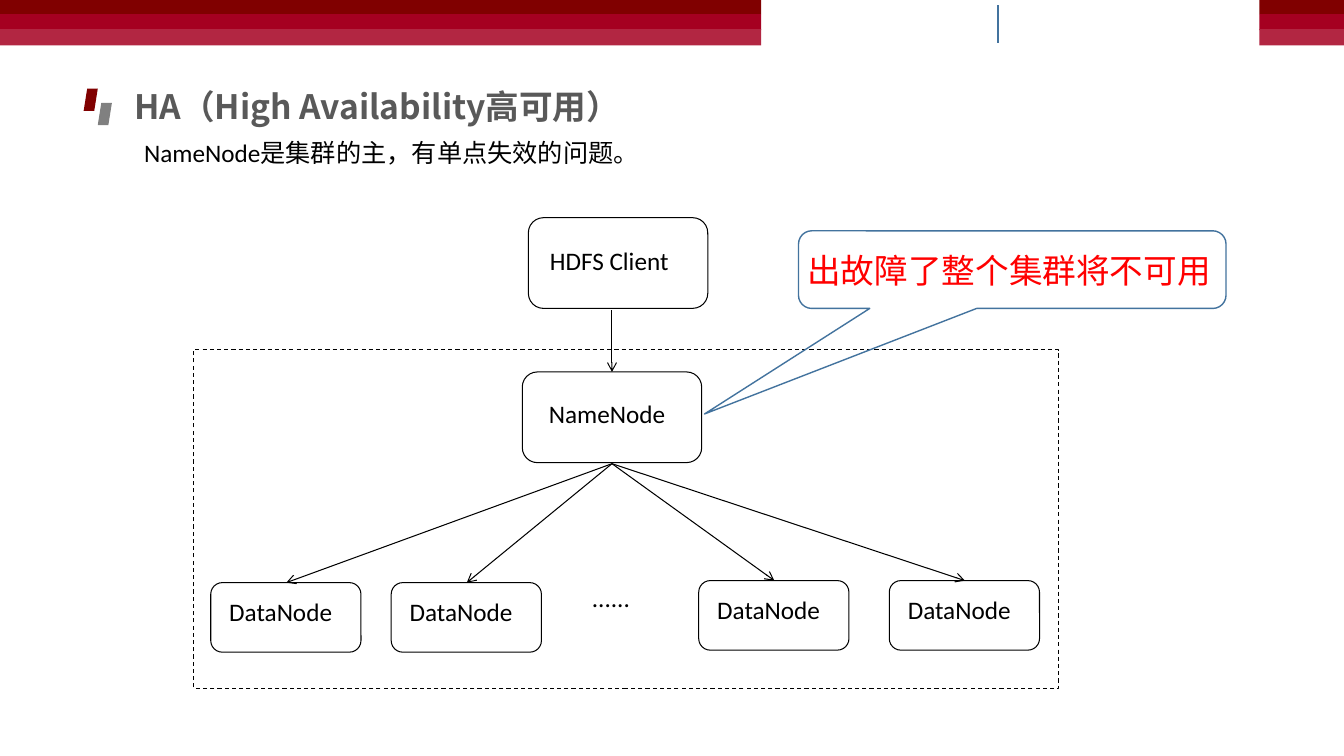
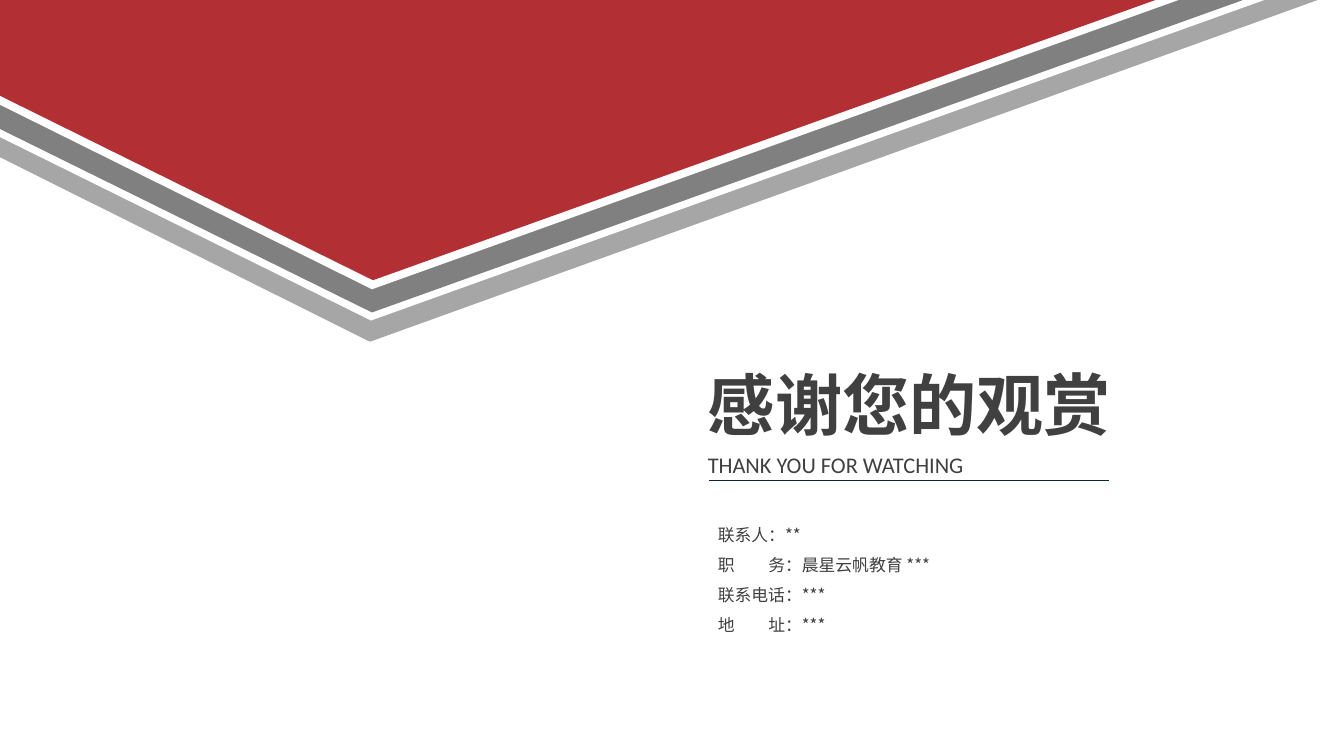
from dataclasses import dataclass

from lxml.etree import SubElement
from pptx import Presentation
from pptx.dml.color import RGBColor
from pptx.enum.dml import MSO_LINE
from pptx.enum.shapes import MSO_CONNECTOR, MSO_SHAPE
from pptx.enum.text import MSO_ANCHOR, MSO_AUTO_SIZE, PP_ALIGN
from pptx.oxml.ns import qn
from pptx.util import Emu, Pt

SCALE = 9144  # EMU in one px, 100 px to the inch
WIDE, HIGH = 1333, 750


@dataclass(frozen=True)
class Theme:
    sans: str = "Calibri"
    han: str = "Noto Sans CJK SC"
    black: str = "000000"
    white: str = "FFFFFF"
    bands: tuple = ("800000", "A50021", "B22642")
    head: str = "595959"
    text: str = "404040"
    grey: str = "808080"
    pale: str = "A6A6A6"
    crest: str = "B22F33"
    blue: str = "43739E"
    navy: str = "10243F"
    alert: str = "FF0000"
    huge: int = 48
    large: int = 24
    base: int = 18
    sub: int = 16
    small: int = 12


T = Theme()


def px(size):
    return Emu(size * SCALE)


def rgb(code):
    return RGBColor.from_string(code)


def put(frame, *lines, size=T.base, color=T.black, font=T.sans, bold=False,
        align=PP_ALIGN.LEFT, anchor=MSO_ANCHOR.MIDDLE, inset=(10, 5, 10, 5),
        lead=None, tab=None):
    """Fill a text frame; inset is left, top, right, bottom in px."""
    frame.word_wrap = True
    frame.auto_size = MSO_AUTO_SIZE.NONE
    frame.vertical_anchor = anchor
    (frame.margin_left, frame.margin_top,
     frame.margin_right, frame.margin_bottom) = map(px, inset)
    for i, line in enumerate(lines):
        para = frame.add_paragraph() if i else frame.paragraphs[0]
        para.alignment = align
        para.space_before = Pt(0)
        if lead:
            para.line_spacing = Pt(lead)
        props = para._p.get_or_add_pPr()
        props.set("marL", "0")
        props.set("indent", "0")
        SubElement(props, qn("a:buNone"))
        if tab:
            stops = SubElement(props, qn("a:tabLst"))
            SubElement(stops, qn("a:tab"), pos=str(px(tab)), algn="l")
        run = para.add_run()
        run.text = line
        run.font.size = Pt(size)
        run.font.bold = bold
        run.font.name = font
        run.font.color.rgb = rgb(color)
        SubElement(run._r.get_or_add_rPr(), qn("a:ea"), typeface=T.han)


def place(holder, box, *lines, **style):
    holder.left, holder.top, holder.width, holder.height = map(px, box)
    put(holder.text_frame, *lines, **style)


def label(slide, box, *lines, **style):
    put(slide.shapes.add_textbox(*map(px, box)).text_frame, *lines, **style)


def paint(shape, fill=None, line=None, width=0.75):
    shape.shadow.inherit = False
    if fill:
        shape.fill.solid()
        shape.fill.fore_color.rgb = rgb(fill)
    else:
        shape.fill.background()
    if line:
        shape.line.color.rgb = rgb(line)
        shape.line.width = Pt(width)
    else:
        shape.line.fill.background()
    return shape


def draw(slide, kind, box, **style):
    return paint(slide.shapes.add_shape(kind, *map(px, box)), **style)


def link(slide, start, end, color=T.black, width=0.75, arrow=False):
    line = slide.shapes.add_connector(
        MSO_CONNECTOR.STRAIGHT, *map(px, (*start, *end)))
    line.line.color.rgb = rgb(color)
    line.line.width = Pt(width)
    if arrow:
        SubElement(line.line._get_or_add_ln(), qn("a:tailEnd"), type="arrow")
    SubElement(line._element.spPr, qn("a:effectLst"))


def node(slide, box, name, left, top):
    """Rounded box with its name at left, top inside it."""
    shape = draw(slide, MSO_SHAPE.ROUNDED_RECTANGLE, box,
                 fill=T.white, line=T.black)
    put(shape.text_frame, name, anchor=MSO_ANCHOR.TOP, inset=(left, top, 0, 0))


def stripes(slide, left, width):
    for color, top, high in zip(T.bands, (0, 14, 29), (14, 16, 16)):
        draw(slide, MSO_SHAPE.RECTANGLE, (left, top, width, high), fill=color)


def header(slide, title, lead):
    stripes(slide, 0, 755)
    stripes(slide, 1249, WIDE - 1249)
    link(slide, (990, 5), (990, 43), color=T.blue, width=1)
    for color, x, y in ((T.bands[0], 83, 88), (T.grey, 97, 102)):
        draw(slide, MSO_SHAPE.PARALLELOGRAM, (x, y, 14, 22), fill=color)
    place(slide.shapes.title, (123, 80, 766, 50), title,
          size=T.large, color=T.head, font=T.han, bold=True)
    place(slide.placeholders[1], (133, 131, 1082, 40), lead)


def cluster(slide, box):
    """Dashed frame with one NameNode fanning out to its DataNodes."""
    left, top, _, _ = box
    frame = draw(slide, MSO_SHAPE.RECTANGLE, box, fill=T.white, line=T.black)
    frame.line.dash_style = MSO_LINE.DASH
    node(slide, (left + 326, top + 22, 178, 90), "NameNode", 22, 22)
    hub = (left + 415, top + 113)
    for x, y in ((17, 231), (196, 231), (501, 229), (690, 229)):
        node(slide, (left + x, top + y, 149, 69), "DataNode", 15, 10)
        link(slide, hub, (left + x + 75, top + y), arrow=True)
    label(slide, (left + 395, top + 231, 100, 63), "......",
          anchor=MSO_ANCHOR.TOP, inset=(0, 0, 0, 0))


def client(slide, box):
    left, top, _, high = box
    node(slide, box, "HDFS Client", 17, 23)
    foot = top + high + 2
    link(slide, (left + 83, foot), (left + 83, foot + 61), arrow=True)


def callout(slide, box, words):
    shape = draw(slide, MSO_SHAPE.ROUNDED_RECTANGULAR_CALLOUT, box,
                 line=T.blue, width=1)
    for i, value in enumerate((-0.72, 1.86, 0.17)):
        shape.adjustments[i] = value
    put(shape.text_frame, words, size=T.large, color=T.alert,
        inset=(5, 5, 5, 5))


def crest(slide):
    """Nested wedges: colour, right end, tip x, tip y, left end."""
    for color, right, x, y, side in (
            (T.pale, 1307, 367, 339, 156),
            (T.white, 1254, 368, 318, 136),
            (T.grey, 1233, 369, 310, 128),
            (T.white, 1169, 369, 287, 104),
            (T.crest, 1146, 370, 278, 95)):
        path = slide.shapes.build_freeform(0, 0, scale=SCALE)
        path.add_line_segments([(right, 0), (x, y), (0, side)], close=True)
        paint(path.convert_to_shape(), fill=color)


def thanks(slide, box):
    left, top, wide, _ = box
    flat = (0, 0, 0, 0)
    place(slide.shapes.title, (left, top, wide, 81), "感谢您的观赏",
          size=T.huge, color=T.text, font=T.han, bold=True, inset=flat)
    label(slide, (left, top + 87, 391, 27), "THANK YOU FOR WATCHING",
          size=T.sub, color=T.text, align=PP_ALIGN.JUSTIFY, inset=flat)
    link(slide, (left + 1, top + 117), (left + 398, top + 117),
         color=T.navy, width=0.5)
    place(slide.placeholders[1], (left, top + 145, wide, 130),
          "联系人：**", "职\t务：晨星云帆教育 ***",
          "联系电话：***", "地\t址：***",
          size=T.small, color=T.text, font=T.han, lead=21.5, tab=28)


def main():
    deck = Presentation()
    deck.slide_width, deck.slide_height = px(WIDE), px(HIGH)
    layout = deck.slide_layouts[1]

    slide = deck.slides.add_slide(layout)
    header(slide, "HA（High Availability高可用）",
           "NameNode是集群的主，有单点失效的问题。")
    cluster(slide, (192, 347, 858, 336))
    client(slide, (524, 216, 178, 90))
    callout(slide, (792, 229, 424, 77), "出故障了整个集群将不可用")

    slide = deck.slides.add_slide(layout)
    crest(slide)
    thanks(slide, (702, 360, 478, 275))

    deck.save("out.pptx")


if __name__ == "__main__":
    main()
